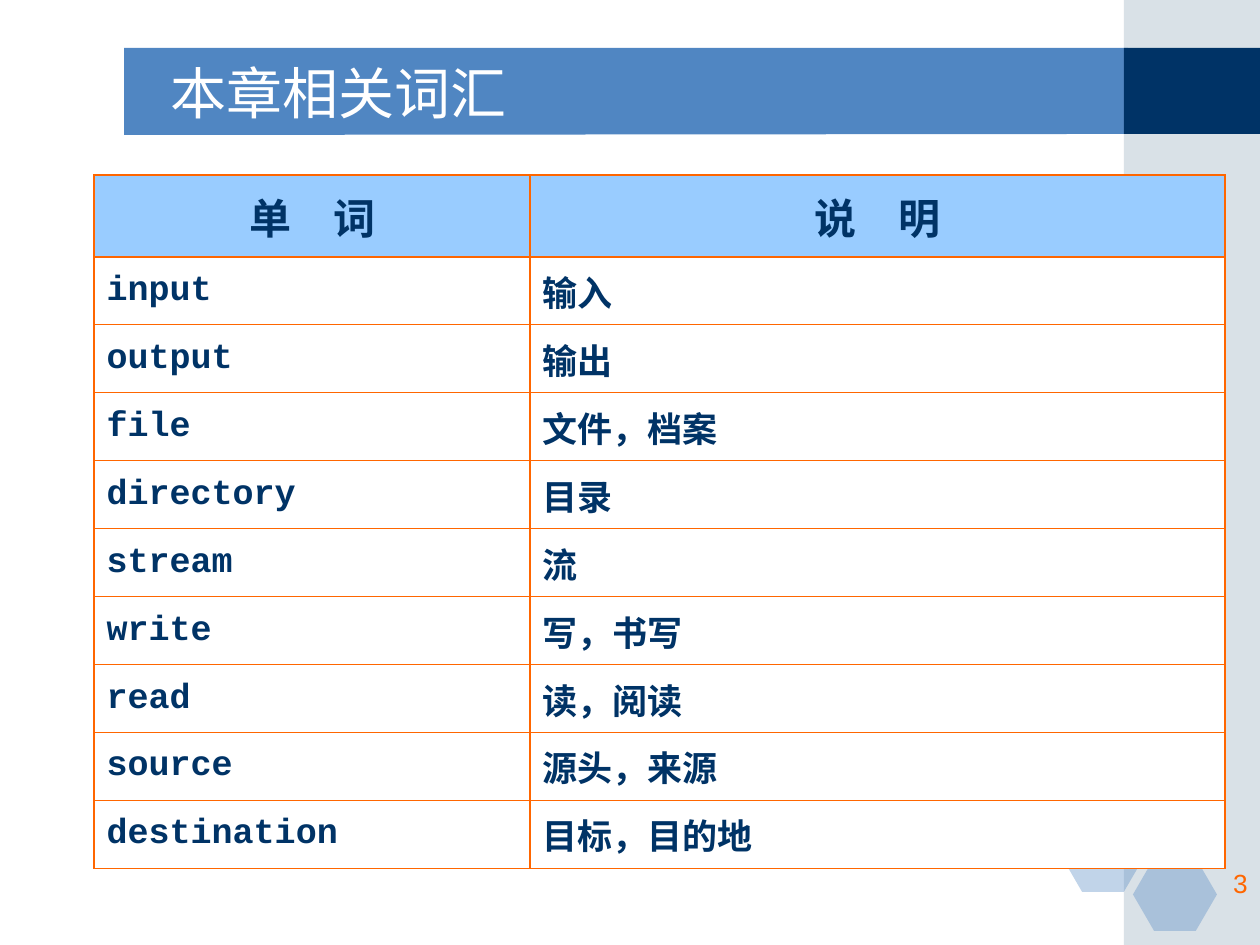
"""Build the chapter vocabulary slide: title band, word table and page number."""
from lxml import etree
from pptx import Presentation
from pptx import util as u
from pptx.dml.color import RGBColor
from pptx.enum import shapes, text
from pptx.oxml.ns import qn

PX = 914400 // 126
COLORS = {
    "band": "5086C2", "navy": "003366", "side": "A0B5C4",
    "header": "99CCFF", "white": "FFFFFF", "orange": "FF6600",
}
VOCABULARY = [
    ("单　词", "说　明"),
    ("input", "输入"),
    ("output", "输出"),
    ("file", "文件，档案"),
    ("directory", "目录"),
    ("stream", "流"),
    ("write", "写，书写"),
    ("read", "读，阅读"),
    ("source", "源头，来源"),
    ("destination", "目标，目的地"),
]


def paint(part, color, opacity=100):
    part.shadow.inherit = False
    part.line.fill.background()
    part.fill.solid()
    part.fill.fore_color.rgb = RGBColor.from_string(COLORS[color])
    if opacity < 100:
        tint = part.element.spPr.find(qn("a:solidFill"))[0]
        etree.SubElement(tint, qn("a:alpha"), val=str(opacity * 1000))


def style(paragraph, font, size, color, bold=False):
    paragraph.font.name = font
    paragraph.font.size = u.Pt(size)
    paragraph.font.bold = bold
    paragraph.font.color.rgb = RGBColor.from_string(COLORS[color])


prs = Presentation()
prs.slide_width, prs.slide_height = 1260 * PX, 945 * PX
slide = prs.slides.add_slide(prs.slide_layouts[5])

outline = slide.shapes.build_freeform(124, 48, scale=PX)
outline.add_line_segments([(1128, 48), (1128, 134), (124, 135)], close=True)
paint(outline.convert_to_shape(), "band")

RECT, HEXAGON = shapes.MSO_SHAPE.RECTANGLE, shapes.MSO_SHAPE.HEXAGON
for kind, x, y, w, h, color, opacity in [
    (RECT, 1124, 0, 136, 945, "side", 40),
    (RECT, 1124, 48, 136, 86, "navy", 100),
    (HEXAGON, 1061, 819, 84, 73, "band", 35),
    (HEXAGON, 1133, 858, 84, 73, "band", 35),
]:
    decoration = slide.shapes.add_shape(kind, x * PX, y * PX, w * PX, h * PX)
    paint(decoration, color, opacity)
    if kind == HEXAGON:
        decoration.adjustments[0] = 0.29

title = slide.shapes.title
title.element.getparent().append(title.element)
title.left, title.top, title.width, title.height = 158 * PX, 53 * PX, 924 * PX, 78 * PX
title.text_frame.text = "本章相关词汇"
title.text_frame.vertical_anchor = text.MSO_ANCHOR.MIDDLE
heading = title.text_frame.paragraphs[0]
heading.alignment = text.PP_ALIGN.LEFT
style(heading, "DejaVu Sans", 32, "white")

page = slide.shapes.add_textbox(998 * PX, 861 * PX, 262 * PX, 63 * PX).text_frame
page.word_wrap = True
page.text = "3"
page.paragraphs[0].alignment = text.PP_ALIGN.RIGHT
style(page.paragraphs[0], "Arial", 15, "orange")

last_row = len(VOCABULARY) - 1
words = slide.shapes.add_table(
    len(VOCABULARY), 2, 94 * PX, 175 * PX, 1131 * PX, 694 * PX).table
words.horz_banding = False
words.columns[0].width, words.columns[1].width = 436 * PX, 695 * PX

for r, entry in enumerate(VOCABULARY):
    is_header = r == 0
    words.rows[r].height = (82 if is_header else 68) * PX
    for c, wording in enumerate(entry):
        cell = words.cell(r, c)
        cell.text = wording
        cell.vertical_anchor = text.MSO_ANCHOR.MIDDLE
        paragraph = cell.text_frame.paragraphs[0]
        paragraph.alignment = text.PP_ALIGN.CENTER if is_header else text.PP_ALIGN.LEFT
        style(paragraph, "Courier New", 24 if is_header else 20, "navy", bold=True)

        outer_sides = {"L": c == 0, "R": c == 1, "T": is_header, "B": r == last_row}
        for side, is_outer in outer_sides.items():
            width = u.Pt(1.08 if is_outer else 0.75)
            border = etree.SubElement(
                cell._tc.get_or_add_tcPr(), qn(f"a:ln{side}"), w=str(width))
            ink = etree.SubElement(border, qn("a:solidFill"))
            etree.SubElement(ink, qn("a:srgbClr"), val=COLORS["orange"])
        cell.fill.solid()
        cell.fill.fore_color.rgb = RGBColor.from_string(
            COLORS["header" if is_header else "white"])

prs.save("out.pptx")
